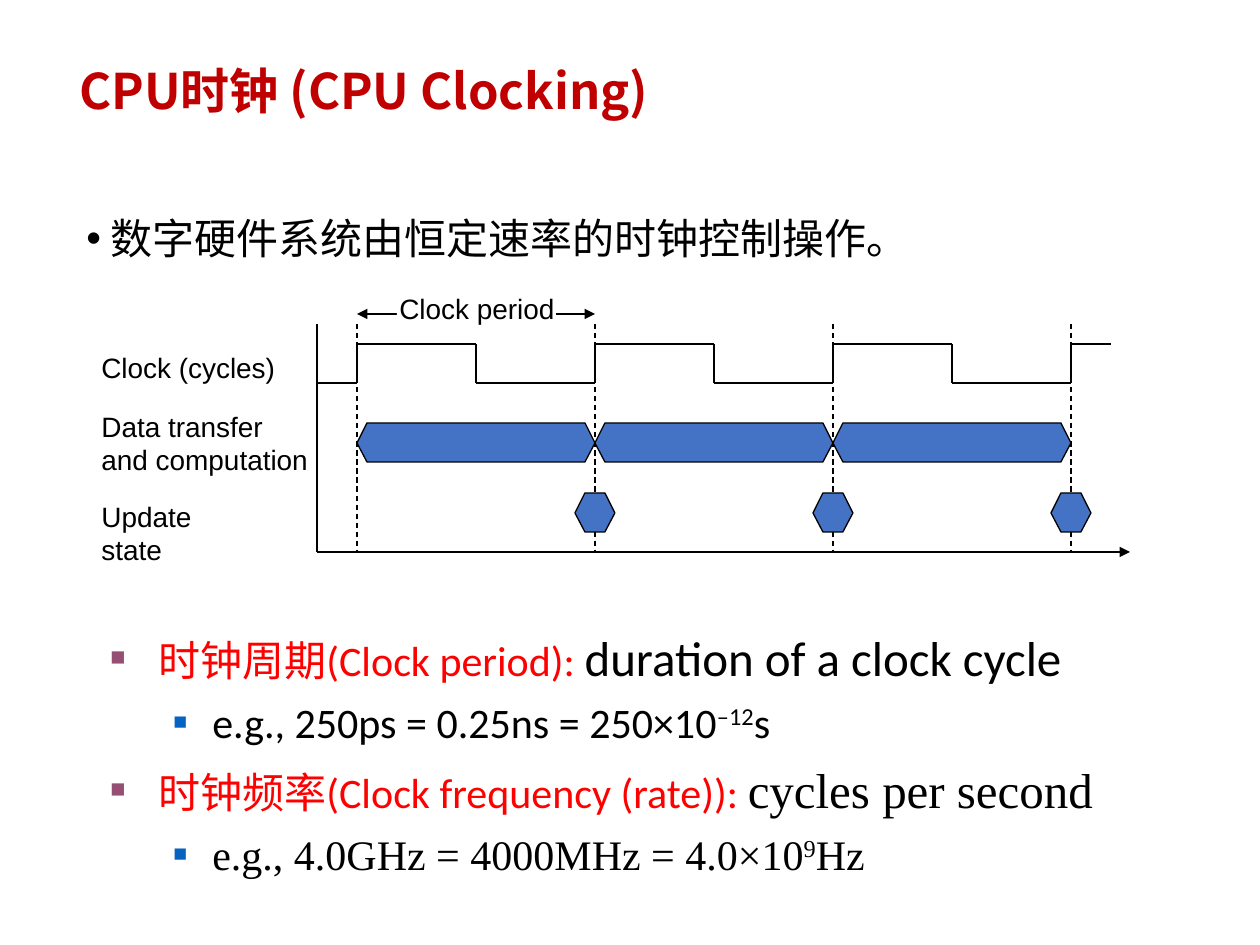
from lxml import etree
from pptx import Presentation
from pptx.dml.color import RGBColor
from pptx.enum.dml import MSO_LINE
from pptx.enum.shapes import MSO_CONNECTOR, MSO_SHAPE
from pptx.enum.text import MSO_ANCHOR, PP_ALIGN
from pptx.oxml.ns import qn
from pptx.util import Pt

PX = 914400 / 126
rgb = RGBColor.from_string
CJK = "Noto Sans CJK SC"

prs = Presentation()
prs.slide_width, prs.slide_height = round(1260 * PX), round(945 * PX)
s = prs.slides.add_slide(prs.slide_layouts[6])


def text(x, y, w, h, paras, size=16, font="Arial", color="000000", bold=False,
         align=PP_ALIGN.LEFT, anchor=MSO_ANCHOR.TOP, wrap=True, spacing=None):
    """Each paragraph is (bullet or None, [(text, run format), ...])."""
    sp = s.shapes.add_textbox(*(round(v * PX) for v in (x, y, w, h)))
    tf = sp.text_frame
    tf.word_wrap, tf.vertical_anchor = wrap, anchor
    for i, (bullet, runs) in enumerate(paras):
        p = tf.paragraphs[0] if i == 0 else tf.add_paragraph()
        if bullet:
            pPr = p._p.get_or_add_pPr()
            pPr.set("marL", str(round(bullet["left"] * PX)))
            pPr.set("indent", str(round(-bullet["hang"] * PX)))
            clr = etree.SubElement(pPr, qn("a:buClr"))
            etree.SubElement(clr, qn("a:srgbClr"), val=bullet["color"])
            etree.SubElement(pPr, qn("a:buSzPct"), val=str(bullet["pct"] * 1000))
            etree.SubElement(pPr, qn("a:buFont"), typeface="Arial")
            etree.SubElement(pPr, qn("a:buChar"), char=bullet["char"])
            p.level = bullet["level"]
            if i:
                p.space_before = Pt(bullet["before"])
        p.alignment = align
        if spacing:
            p.line_spacing = spacing
        for words, fmt in runs:
            for n, part in enumerate(words.split("\n")):
                if n:
                    p.add_line_break()
                r = p.add_run()
                r.text = part
                r.font.size = Pt(fmt.get("size", size))
                r.font.name = fmt.get("font", font)
                r.font.bold = bold
                r.font.color.rgb = rgb(fmt.get("color", color))
                rPr = r.font._element
                etree.SubElement(rPr, qn("a:ea"), typeface=CJK)
                if fmt.get("sup"):
                    rPr.set("baseline", "30000")


def line(x1, y1, x2, y2, width=0.75, dash=False, arrows=()):
    cn = s.shapes.add_connector(MSO_CONNECTOR.STRAIGHT,
                                *(round(v * PX) for v in (x1, y1, x2, y2)))
    cn.line.width = Pt(width)
    cn.line.color.rgb = rgb("000000")
    if dash:
        cn.line.dash_style = MSO_LINE.DASH
    for end in arrows:
        etree.SubElement(cn.line._ln, qn("a:" + end), type="triangle")
    etree.SubElement(cn._element.spPr, qn("a:effectLst"))


# Title and opening point
text(67, 26, 1134, 136, [(None, [("CPU时钟 (CPU Clocking)", {})])], size=28,
     font=CJK, color="C00000", bold=True, anchor=MSO_ANCHOR.MIDDLE, spacing=0.9)
dot = dict(char="•", color="000000", pct=100, left=24, hang=24, level=0)
text(74, 194, 1140, 79, [(dot, [("数字硬件系统由恒定速率的时钟控制操作。", {})])],
     size=24, font=CJK, spacing=1.25)

# Clock period arrow and rising edges
PERIOD, HALF = 238, 119
HIGH, LOW = 344, 383
AXIS_X, AXIS_Y, TOP = 317, 552, 324
edges = [357 + PERIOD * i for i in range(4)]
line(edges[0], 314, edges[1], 314, arrows=("headEnd", "tailEnd"))
for x in edges:
    line(x, TOP, x, AXIS_Y, dash=True)

# Clock wave
wave = [(AXIS_X, LOW)]
for x in edges[:-1]:
    wave += [(x, LOW), (x, HIGH), (x + HALF, HIGH), (x + HALF, LOW)]
wave += [(edges[-1], LOW), (edges[-1], HIGH), (edges[-1] + 40, HIGH)]
for start, end in zip(wave, wave[1:]):
    line(*start, *end, width=1.5)

# Axes
line(AXIS_X, AXIS_Y, 1130, AXIS_Y, arrows=("tailEnd",))
line(AXIS_X, AXIS_Y, AXIS_X, TOP)

# Computation bars and state updates: left, top, width
bars = [(x, 423, PERIOD) for x in edges[:-1]]
updates = [(x - 20, 493, 40) for x in edges[1:]]
for x, y, w in updates + bars:
    fb = s.shapes.build_freeform(x, y + 20, scale=PX)
    fb.add_line_segments([(x + 10, y), (x + w - 10, y), (x + w, y + 20),
                          (x + w - 10, y + 39), (x + 10, y + 39)], close=True)
    sp = fb.convert_to_shape()
    sp.shadow.inherit = False
    sp.fill.solid()
    sp.fill.fore_color.rgb = rgb("4472C4")
    sp.line.color.rgb = rgb("000000")
    sp.line.width = Pt(0.75)

# Row labels
for y, w, h, label in [(344, 199, 47, "Clock (cycles)"),
                       (403, 232, 81, "Data transfer\nand computation"),
                       (493, 183, 47, "Update state")]:
    text(89, y, w, h, [(None, [(label, {})])], wrap=False)

# Period label over a gap in the arrow
sp = s.shapes.add_shape(MSO_SHAPE.RECTANGLE,
                        *(round(v * PX) for v in (397, 304, 159, 20)))
sp.shadow.inherit = False
sp.fill.solid()
sp.fill.fore_color.rgb = rgb("FFFFFF")
sp.line.fill.background()
text(387, 285, 180, 47, [(None, [("Clock period", {})])],
     align=PP_ALIGN.CENTER, wrap=False)

# Definitions
main = dict(char="■", color="954F72", pct=60, left=48, hang=48, level=0, before=7)
sub = dict(char="■", color="0563C1", pct=55, left=102, hang=39, level=1, before=6)
red, big, sup = dict(color="FF0000"), dict(size=28), dict(sup=True)
times = dict(font="Times New Roman")
text(98, 621, 1071, 268, [
    (main, [("时钟周期(Clock period): ", red), ("duration of a clock cycle", big)]),
    (sub, [("e.g., 250ps = 0.25ns = 250×10", {}), ("–12", sup), ("s", {})]),
    (main, [("时钟频率(Clock frequency (rate)): ", red),
            ("cycles per second", big | times)]),
    (sub, [("e.g., 4.0GHz = 4000MHz = 4.0×10", times), ("9", sup | times),
           ("Hz", times)]),
], size=24, font="Calibri")

prs.save("out.pptx")
